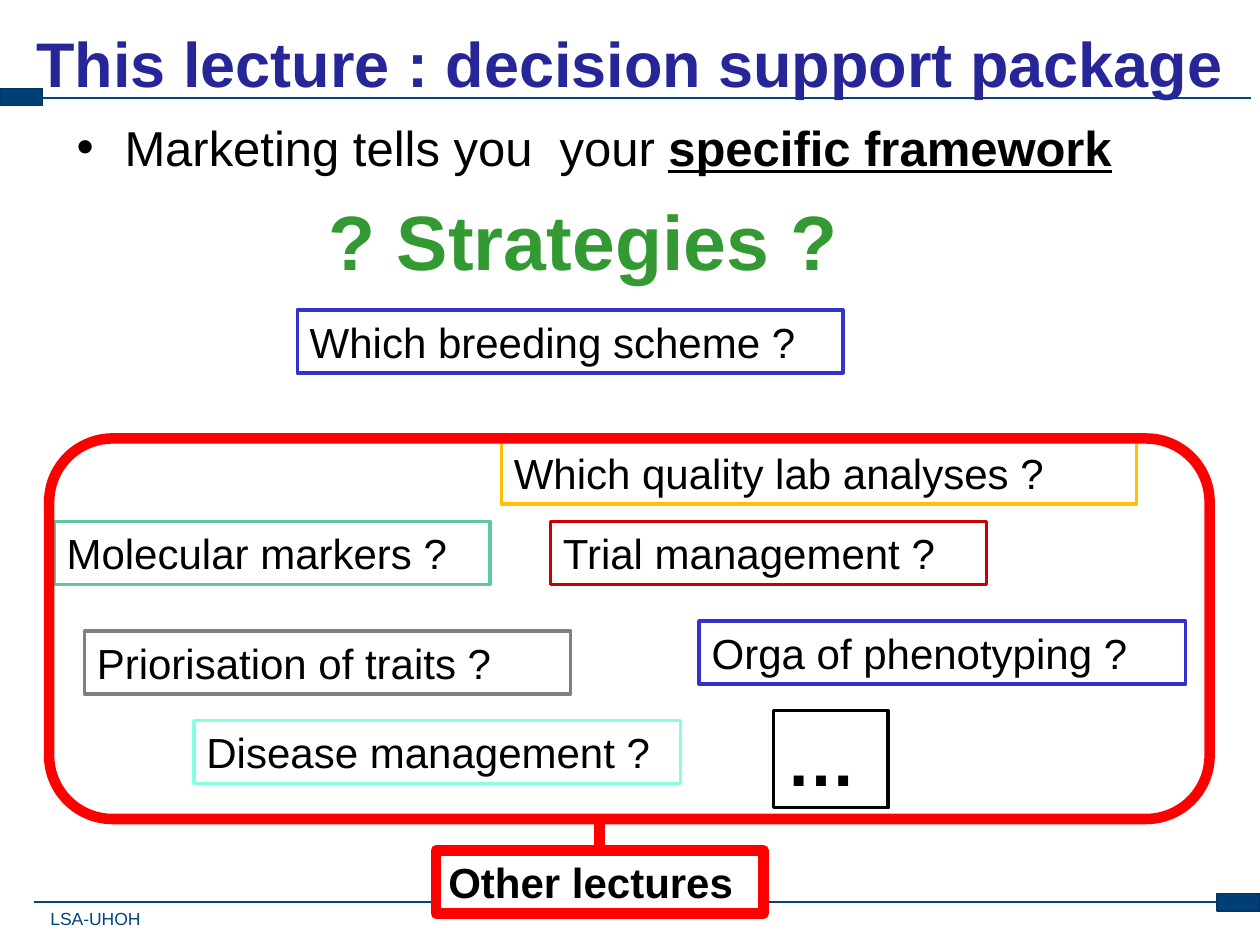
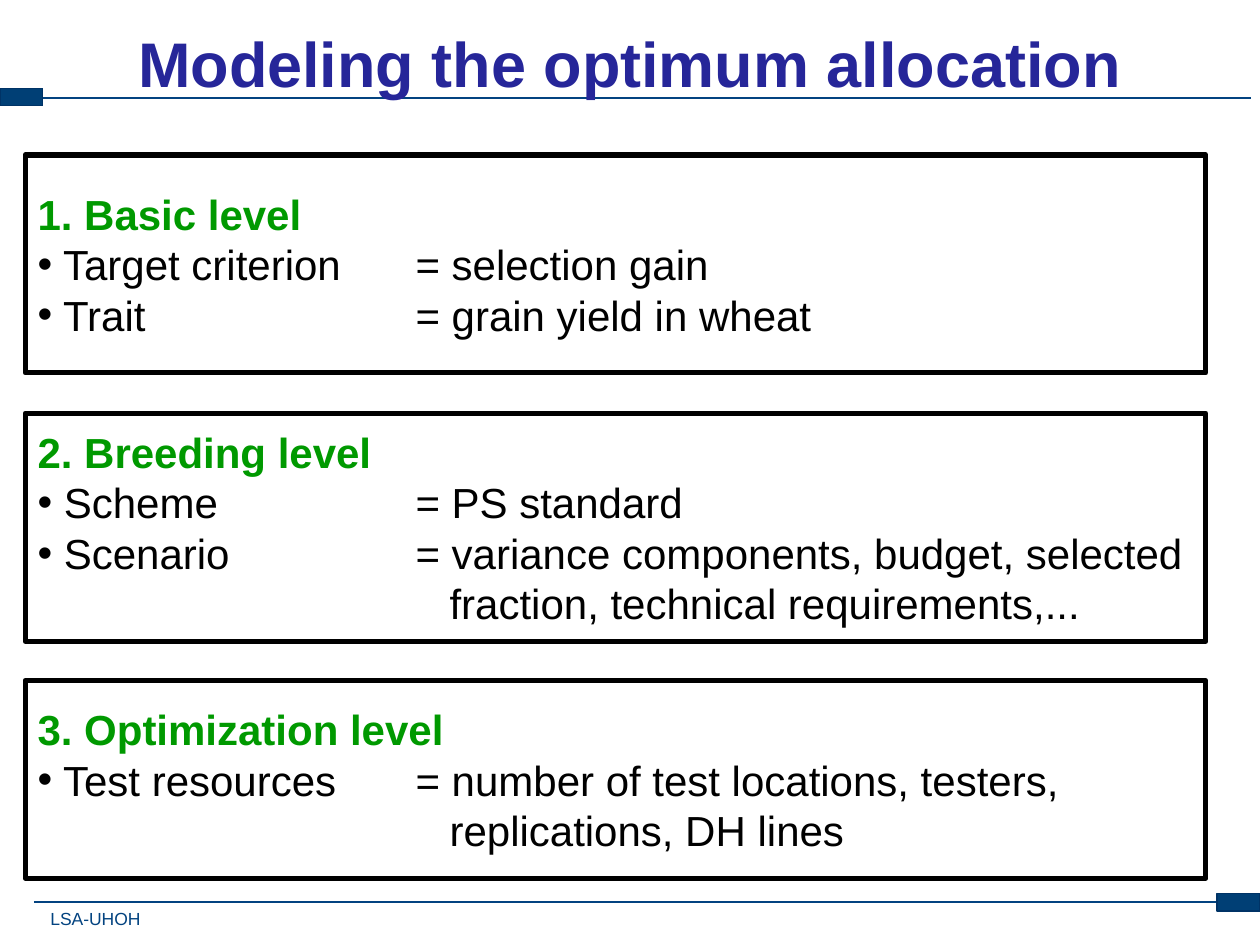
from dataclasses import dataclass
from typing import Any, NamedTuple

from lxml import etree
from pptx import Presentation
from pptx import util as u
from pptx.dml.color import RGBColor
from pptx.enum import shapes, text
from pptx.oxml.ns import qn

FONT = "Arial"
BLACK, WHITE, RED = "000000", "FFFFFF", "FF0000"
TITLE_BLUE, RULE_BLUE = "262699", "034380"
BAND_FILL, BAND_EDGE = "003F75", "003366"
STRATEGY_GREEN, LEVEL_GREEN = "339933", "009900"
BODY_SIZE = 24
VALUE_TAB = 3.0
CONTINUATION = 3.27


class Area(NamedTuple):
    left: float
    top: float
    width: float
    height: float

    def lengths(self) -> list[u.Length]:
        return [u.Inches(value) for value in self]


class Stroke(NamedTuple):
    color: str
    points: float


@dataclass(frozen=True)
class Run:
    content: str
    size: float = BODY_SIZE
    color: str = BLACK
    bold: bool = False
    underline: bool = False


@dataclass(frozen=True)
class Para:
    runs: tuple[Run, ...]
    bullet: bool = False
    margin: float = 0
    indent: float = 0
    tab: float = 0
    before: float = 0
    align: Any = text.PP_ALIGN.LEFT


@dataclass(frozen=True)
class Question:
    wording: str
    area: Area
    border: str
    size: float = BODY_SIZE
    bold: bool = False


@dataclass(frozen=True)
class Level:
    heading: str
    area: Area
    items: tuple[tuple[str, ...], ...]


TOP_RULE = ((0.31, 0.78), (9.93, 0.78))
BOTTOM_RULE = ((0.27, 7.16), (9.9, 7.16))
BANDS = (Area(9.66, 7.09, 0.34, 0.14), Area(0, 0.7, 0.34, 0.14))
TITLE_AREA = Area(0, 0, 10, 0.99)
FOOTER_AREA = Area(0.4, 7.21, 0.72, 0.17)

QUESTIONS = (
    Question("Which breeding scheme ?", Area(2.36, 2.46, 4.33, 0.5), "3333CC"),
    Question("Which quality lab analyses ?", Area(3.98, 3.5, 5.04, 0.5), "FFC000"),
    Question("Molecular markers ?", Area(0.43, 4.14, 3.46, 0.5), "60C99C"),
    Question("Trial management ?", Area(4.37, 4.14, 3.46, 0.5), "CC0000"),
    Question("Orga of phenotyping ?", Area(5.55, 4.93, 3.86, 0.5), "3333CC"),
    Question("Priorisation of traits ?", Area(0.67, 5.01, 3.86, 0.5), "808080"),
    Question("Disease management ?", Area(1.54, 5.72, 3.86, 0.5), "85FFE0"),
    Question("…", Area(6.14, 5.64, 0.91, 0.77), BLACK, 40, True),
)

# Each item holds a term, its value and, if needed, the value's second line.
LEVELS = (
    Level("1. Basic level", Area(0.2, 1.23, 9.37, 1.73), (
        ("Target criterion", "= selection gain"),
        ("Trait", "= grain yield in wheat"),
    )),
    Level("2. Breeding level", Area(0.2, 3.28, 9.37, 1.81), (
        ("Scheme", "= PS standard"),
        ("Scenario", "= variance components, budget, selected",
         "fraction, technical requirements,..."),
    )),
    Level("3. Optimization level", Area(0.2, 5.4, 9.37, 1.57), (
        ("Test resources", "= number of test locations, testers,",
         "replications, DH lines"),
    )),
)


def rgb(color: str) -> RGBColor:
    return RGBColor.from_string(color)


def set_all(target: Any, values: dict[str, Any]) -> None:
    for name, value in values.items():
        setattr(target, name, value)


def write(frame: Any, paras: list[Para], **frame_format: Any) -> None:
    set_all(frame, {"word_wrap": True, "vertical_anchor": text.MSO_ANCHOR.TOP}
            | frame_format)
    for index, para in enumerate(paras):
        line = frame.add_paragraph() if index else frame.paragraphs[0]
        line.alignment = para.align
        if para.before:
            line.space_before = u.Pt(para.before)
        properties = line._p.get_or_add_pPr()
        properties.set("marL", str(u.Inches(para.margin)))
        properties.set("indent", str(u.Inches(para.indent)))
        if para.bullet:
            etree.SubElement(properties, qn("a:buFont"), typeface=FONT)
            etree.SubElement(properties, qn("a:buChar"), char="•")
        else:
            etree.SubElement(properties, qn("a:buNone"))
        if para.tab:
            tabs = etree.SubElement(properties, qn("a:tabLst"))
            etree.SubElement(tabs, qn("a:tab"), pos=str(u.Inches(para.tab)), algn="l")
        for part in para.runs:
            run = line.add_run()
            run.text = part.content
            set_all(run.font, {"name": FONT, "size": u.Pt(part.size),
                               "bold": part.bold, "underline": part.underline})
            run.font.color.rgb = rgb(part.color)


def add_text(slide: Any, area: Area, paras: list[Para], **frame_format: Any) -> None:
    write(slide.shapes.add_textbox(*area.lengths()).text_frame, paras, **frame_format)


def add_box(slide: Any, area: Area, stroke: Stroke, fill: str | None = WHITE,
            kind: Any = shapes.MSO_SHAPE.RECTANGLE) -> Any:
    box = slide.shapes.add_shape(kind, *area.lengths())
    box.shadow.inherit = False
    if fill:
        box.fill.solid()
        box.fill.fore_color.rgb = rgb(fill)
    else:
        box.fill.background()
    box.line.color.rgb = rgb(stroke.color)
    box.line.width = u.Pt(stroke.points)
    return box


def add_line(slide: Any, start: tuple[float, float], end: tuple[float, float],
             stroke: Stroke) -> None:
    line = slide.shapes.add_connector(
        shapes.MSO_CONNECTOR.STRAIGHT, *map(u.Inches, start + end))
    line.line.color.rgb = rgb(stroke.color)
    line.line.width = u.Pt(stroke.points)
    etree.SubElement(line._element.spPr, qn("a:effectLst"))


def add_framed_slide(deck: Any, title: str) -> Any:
    """Add a blank slide with the shared rules, bands, footer and title."""
    slide = deck.slides.add_slide(deck.slide_layouts[6])
    for start, end in (BOTTOM_RULE, TOP_RULE):
        add_line(slide, start, end, Stroke(RULE_BLUE, 1))
    for band in BANDS:
        add_box(slide, band, Stroke(BAND_EDGE, 0.75), BAND_FILL)
    no_insets = dict.fromkeys(
        ("margin_left", "margin_top", "margin_right", "margin_bottom"), 0)
    add_text(slide, FOOTER_AREA, [Para((Run("LSA-UHOH", 10, RULE_BLUE),))],
             word_wrap=False, **no_insets)
    add_text(slide, TITLE_AREA,
             [Para((Run(title, 36, TITLE_BLUE, True),), align=text.PP_ALIGN.CENTER)],
             vertical_anchor=text.MSO_ANCHOR.MIDDLE)
    return slide


def add_question(slide: Any, question: Question, points: float = 2) -> None:
    box = add_box(slide, question.area, Stroke(question.border, points))
    run = Run(question.wording, question.size, bold=question.bold)
    write(box.text_frame, [Para((run,))])


def add_level(slide: Any, level: Level) -> None:
    paras = [Para((Run(level.heading, color=LEVEL_GREEN, bold=True),))]
    for term, value, *continuations in level.items:
        paras.append(Para((Run(f" {term}\t{value}"),), bullet=True, tab=VALUE_TAB))
        paras += [Para((Run(more),), margin=CONTINUATION) for more in continuations]
    box = add_box(slide, level.area, Stroke(BLACK, 3))
    write(box.text_frame, paras, vertical_anchor=text.MSO_ANCHOR.MIDDLE)


def build_strategies(deck: Any) -> None:
    slide = add_framed_slide(deck, "This lecture : decision support package")
    framework = (Run("Marketing tells you  your ", 28),
                 Run("specific framework", 28, bold=True, underline=True))
    strategies = (Run("? Strategies ?", 44, STRATEGY_GREEN, True),)
    add_text(slide, Area(0.51, 0.88, 9.21, 2.01), [
        Para(framework, bullet=True, margin=0.38, indent=-0.38),
        Para(strategies, margin=2, before=10),
    ])
    for question in QUESTIONS:
        add_question(slide, question)
    add_question(slide, Question("Other lectures", Area(3.46, 6.75, 2.6, 0.5), RED,
                                 bold=True), 6)
    add_box(slide, Area(0.39, 3.48, 9.21, 3.02), Stroke(RED, 6), None,
            shapes.MSO_SHAPE.ROUNDED_RECTANGLE)
    add_line(slide, (4.76, 6.51), (4.76, 6.76), Stroke(RED, 6))


def build_levels(deck: Any) -> None:
    slide = add_framed_slide(deck, "Modeling the optimum allocation")
    for level in LEVELS:
        add_level(slide, level)


def main() -> None:
    deck = Presentation()
    deck.slide_width, deck.slide_height = u.Inches(10), u.Inches(7.5)
    build_strategies(deck)
    build_levels(deck)
    deck.save("out.pptx")


if __name__ == "__main__":
    main()
